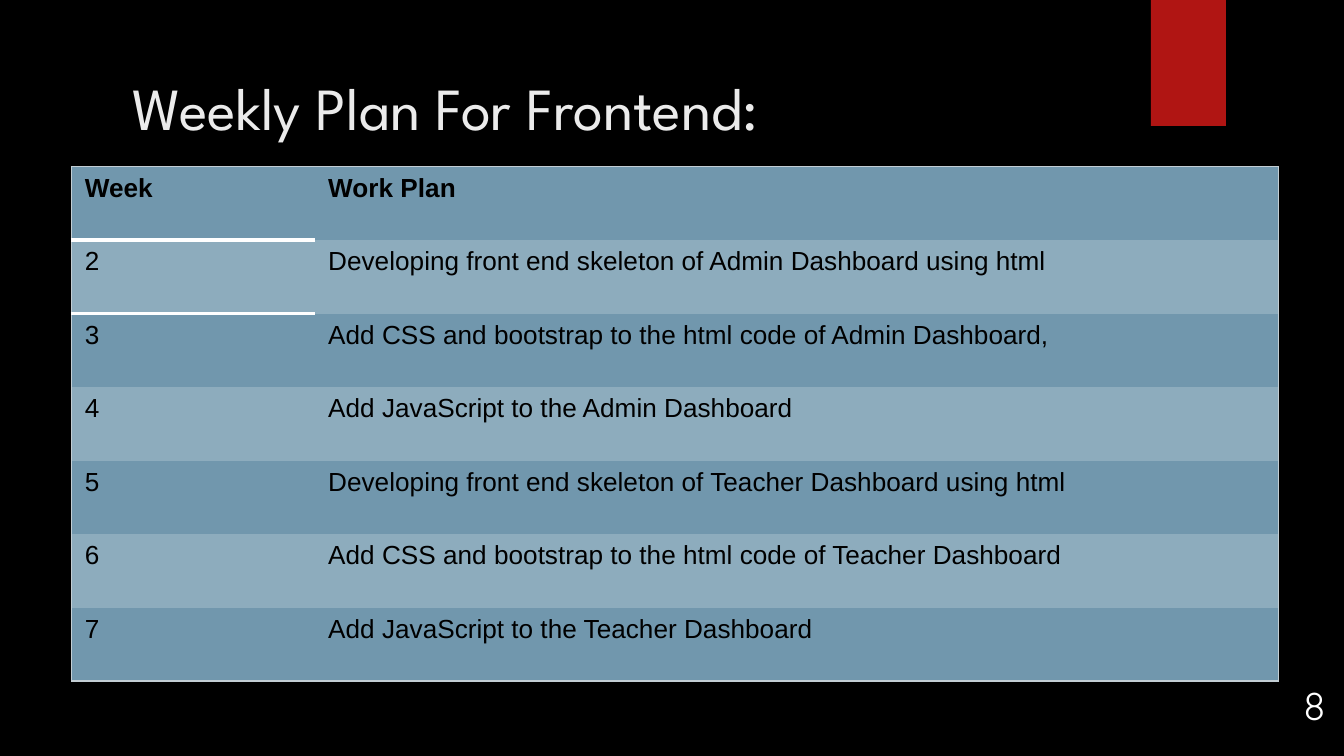
from lxml import etree
from pptx import Presentation
from pptx.dml.color import RGBColor
from pptx.enum.shapes import MSO_SHAPE
from pptx.enum.text import MSO_ANCHOR, PP_ALIGN
from pptx.oxml.ns import qn
from pptx.util import Cm, Pt

RECTANGLE = MSO_SHAPE.RECTANGLE
MIDDLE = MSO_ANCHOR.MIDDLE
LEFT, RIGHT = PP_ALIGN.LEFT, PP_ALIGN.RIGHT

# Content
TITLE = "Weekly Plan For Frontend:"
PAGE_NUMBER = "8"
PLAN = [
    ("Week", "Work Plan"),
    ("2", "Developing front end skeleton of Admin Dashboard using html"),
    ("3", "Add CSS and bootstrap to the html code of Admin Dashboard,"),
    ("4", "Add JavaScript to the Admin Dashboard"),
    ("5", "Developing front end skeleton of Teacher Dashboard using html"),
    ("6", "Add CSS and bootstrap to the html code of Teacher Dashboard"),
    ("7", "Add JavaScript to the Teacher Dashboard"),
]

# Look
BLACK, WHITE, RED = "000000", "FFFFFF", "B01513"
TITLE_COLOR, FRAME_COLOR = "EBEBEB", "C3CED4"
BANDS = ["7197AD", "8DACBD"]
COLUMN_WIDTHS = [4.6, 18.21]
ROW_HEIGHT = 1.39
NO_STYLE = "{2D5ABB26-0587-4C30-8999-92F81FD0307C}"


def color(value):
    return RGBColor.from_string(value)


def style_text(frame, font, size, value, bold=False, align=LEFT):
    para = frame.paragraphs[0]
    para.alignment = align
    for span in para.runs:
        span.font.name = font
        span.font.size = Pt(size)
        span.font.bold = bold
        span.font.color.rgb = color(value)


def add_text(page, text, place, font, size, value, align=LEFT):
    box = page.shapes.add_textbox(*map(Cm, place))
    frame = box.text_frame
    frame.text = text
    frame.word_wrap = True
    frame.vertical_anchor = MIDDLE
    frame.margin_top = frame.margin_bottom = Cm(0.25)
    style_text(frame, font, size, value, align=align)


def set_border(cell, side, value, points):
    properties = cell._tc.get_or_add_tcPr()
    line = etree.SubElement(properties, qn("a:ln" + side), w=str(Pt(points)))
    fill = etree.SubElement(line, qn("a:solidFill"))
    etree.SubElement(fill, qn("a:srgbClr"), val=value)


def add_plan(page):
    rows, columns = len(PLAN), len(COLUMN_WIDTHS)
    frame = page.shapes.add_table(rows, columns, Cm(1.35), Cm(3.15),
                                  Cm(sum(COLUMN_WIDTHS)), Cm(ROW_HEIGHT * rows))
    table = frame.table
    table.first_row = table.horz_banding = False
    table._tbl.tblPr.find(qn("a:tableStyleId")).text = NO_STYLE
    for column, width in zip(table.columns, COLUMN_WIDTHS):
        column.width = Cm(width)

    for r, texts in enumerate(PLAN):
        table.rows[r].height = Cm(ROW_HEIGHT)
        for c, text in enumerate(texts):
            cell = table.cell(r, c)
            cell.text = text
            style_text(cell.text_frame, "Arial", 14, BLACK, bold=r == 0)
            # Thin outer frame
            edges = {"L": c == 0, "R": c == columns - 1,
                     "T": r == 0, "B": r == rows - 1}
            for side, on_edge in edges.items():
                if on_edge:
                    set_border(cell, side, FRAME_COLOR, 0.75)
            # White rule under the first heading
            if (r, c) == (0, 0):
                set_border(cell, "B", WHITE, 2.25)
            elif (r, c) == (1, 0):
                set_border(cell, "T", WHITE, 2.25)
            cell.fill.solid()
            cell.fill.fore_color.rgb = color(BANDS[r % 2])


def main():
    deck = Presentation()
    deck.slide_width, deck.slide_height = Cm(25.4), Cm(14.29)
    page = deck.slides.add_slide(deck.slide_layouts[6])
    page.background.fill.solid()
    page.background.fill.fore_color.rgb = color(BLACK)

    # Red ribbon
    ribbon = page.shapes.add_shape(RECTANGLE, Cm(21.75), Cm(0), Cm(1.42), Cm(2.38))
    ribbon.shadow.inherit = False
    ribbon.fill.solid()
    ribbon.fill.fore_color.rgb = color(RED)
    ribbon.line.fill.background()

    # Title, page number and table
    add_text(page, TITLE, (2.26, 0.89, 18.36, 2.26), "League Spartan", 32, TITLE_COLOR)
    add_text(page, PAGE_NUMBER, (21.16, 12.88, 4.14, 0.89), "Quicksand", 21, WHITE, RIGHT)
    add_plan(page)
    deck.save("out.pptx")


if __name__ == "__main__":
    main()
